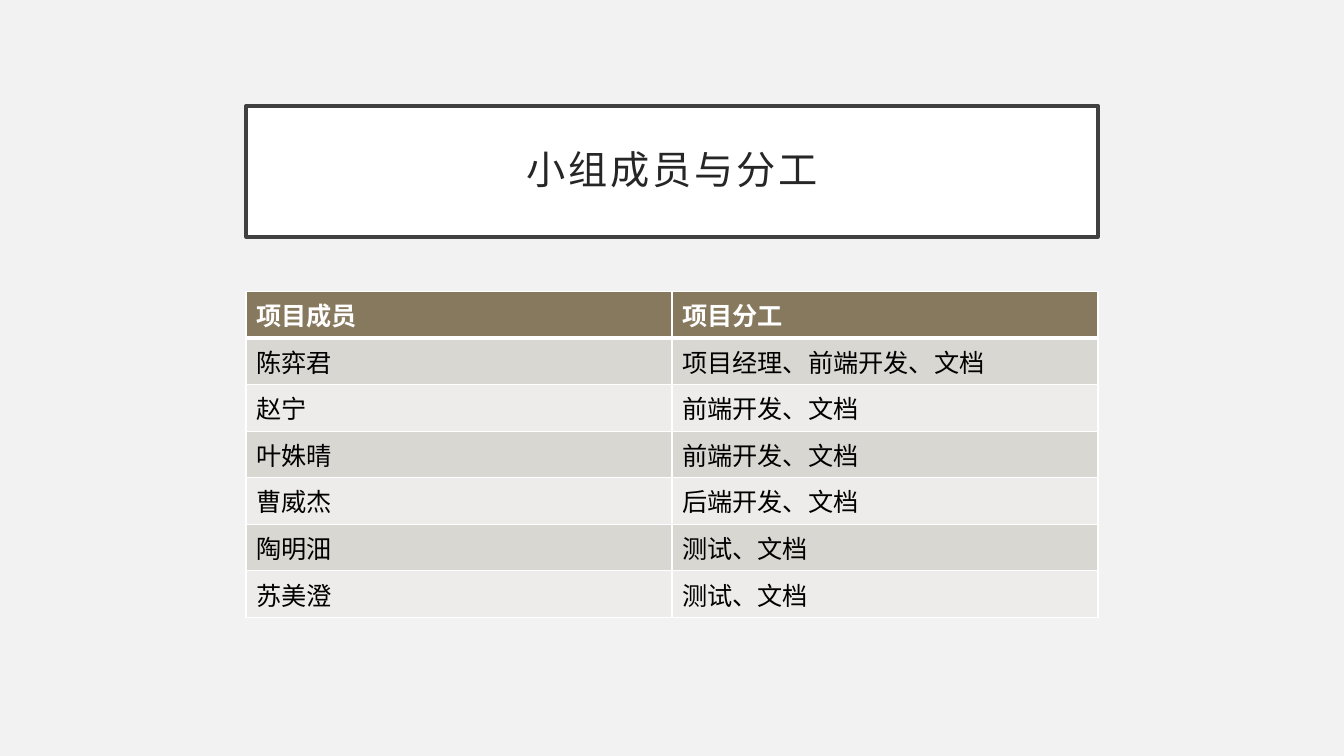
from lxml.etree import SubElement
from pptx import Presentation
from pptx.dml.color import RGBColor
from pptx.enum.text import MSO_ANCHOR, PP_ALIGN
from pptx.oxml import parse_xml
from pptx.oxml.ns import nsdecls, qn
from pptx.util import Inches, Pt

BACKGROUND = RGBColor(0xF2, 0xF2, 0xF2)
WHITE = RGBColor(0xFF, 0xFF, 0xFF)
BLACK = RGBColor(0x00, 0x00, 0x00)
FRAME = RGBColor(0x40, 0x40, 0x40)
TITLE_TEXT = RGBColor(0x26, 0x26, 0x26)
HEADER = RGBColor(0x87, 0x79, 0x5D)
BANDS = (RGBColor(0xED, 0xEC, 0xEA), RGBColor(0xD9, 0xD7, 0xD2))
FONT = "Calibri"

SLIDE_WIDTH, SLIDE_HEIGHT = 13.33, 7.5
CONTENT_WIDTH = 8.45
CONTENT_LEFT = (SLIDE_WIDTH - CONTENT_WIDTH) / 2
TITLE_BOX = (CONTENT_LEFT, 1.05, CONTENT_WIDTH, 1.3)
TABLE_BOX = (CONTENT_LEFT, 2.89, CONTENT_WIDTH, 2.84)

MEMBERS = [
    ("项目成员", "项目分工"),
    ("陈弈君", "项目经理、前端开发、文档"),
    ("赵宁", "前端开发、文档"),
    ("叶姝晴", "前端开发、文档"),
    ("曹威杰", "后端开发、文档"),
    ("陶明沺", "测试、文档"),
    ("苏美澄", "测试、文档"),
]


def style_font(font, size, color, bold=False):
    font.name = FONT
    font.size = Pt(size)
    font.bold = bold
    font.color.rgb = color


def add_title(slide, box, text):
    title = slide.shapes.title
    title.left, title.top, title.width, title.height = map(Inches, box)
    title.fill.solid()
    title.fill.fore_color.rgb = WHITE
    title.line.color.rgb = FRAME
    title.line.width = Pt(2.5)
    frame = title.text_frame
    frame.text = text
    frame.word_wrap = True
    frame.vertical_anchor = MSO_ANCHOR.MIDDLE
    frame.margin_left = frame.margin_right = Inches(0.2)
    frame.margin_top = frame.margin_bottom = Inches(0.2)
    paragraph = frame.paragraphs[0]
    paragraph.alignment = PP_ALIGN.CENTER
    paragraph.line_spacing = 0.9
    run = paragraph.runs[0]
    style_font(run.font, 28, TITLE_TEXT)
    run.font._element.set("spc", "200")


def set_borders(cell, widths):
    properties = cell._tc.get_or_add_tcPr()
    for position, (side, width) in enumerate(widths.items()):
        border = parse_xml(f'<a:{side} {nsdecls("a")} w="{Pt(width)}"/>')
        fill = SubElement(border, qn("a:solidFill"))
        SubElement(fill, qn("a:srgbClr")).set("val", str(WHITE))
        properties.insert(position, border)


def add_member_table(slide, box, rows):
    table = slide.shapes.add_table(
        len(rows), len(rows[0]), *map(Inches, box)
    ).table
    for row_index, row in enumerate(rows):
        is_header = row_index == 0
        for column_index, text in enumerate(row):
            cell = table.cell(row_index, column_index)
            cell.text_frame.text = text
            cell.fill.solid()
            cell.fill.fore_color.rgb = HEADER if is_header else BANDS[row_index % 2]
            run = cell.text_frame.paragraphs[0].runs[0]
            style_font(run.font, 18, WHITE if is_header else BLACK, is_header)
            set_borders(cell, {
                "lnL": 1,
                "lnR": 1,
                "lnT": 3 if row_index == 1 else 1,
                "lnB": 3 if is_header else 1,
            })


def build_team_slide(presentation):
    slide = presentation.slides.add_slide(presentation.slide_layouts[5])
    slide.background.fill.solid()
    slide.background.fill.fore_color.rgb = BACKGROUND
    add_title(slide, TITLE_BOX, "小组成员与分工")
    add_member_table(slide, TABLE_BOX, MEMBERS)


def main():
    presentation = Presentation()
    presentation.slide_width = Inches(SLIDE_WIDTH)
    presentation.slide_height = Inches(SLIDE_HEIGHT)
    build_team_slide(presentation)
    presentation.save("out.pptx")


if __name__ == "__main__":
    main()
